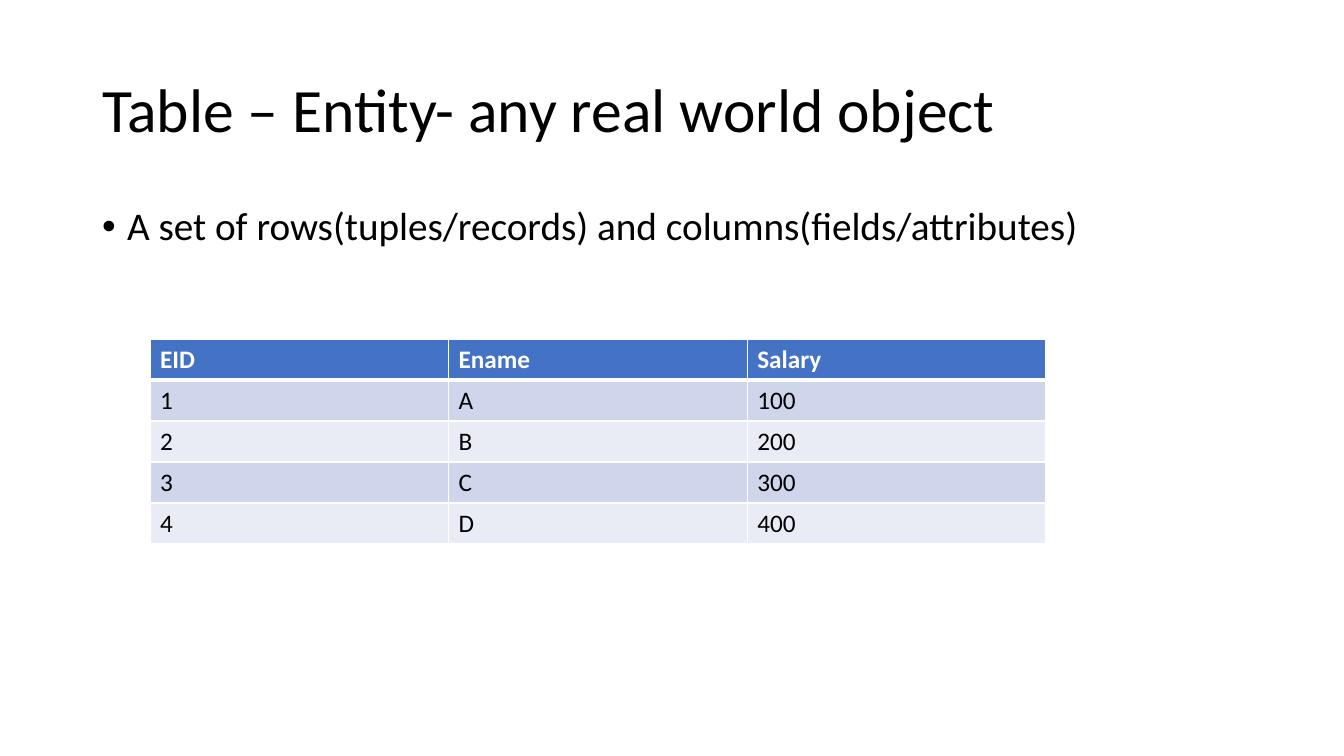
"""Build a slide that explains a database table as an entity."""
from dataclasses import dataclass

from lxml import etree
from pptx import Presentation
from pptx.dml.color import RGBColor
from pptx.enum.text import MSO_ANCHOR, MSO_AUTO_SIZE, PP_ALIGN
from pptx.oxml.ns import qn
from pptx.util import Pt

TITLE = "Table – Entity- any real world object"
BULLET = "A set of rows(tuples/records) and columns(fields/attributes)"
ROWS = [
    ("EID", "Ename", "Salary"),
    ("1", "A", "100"),
    ("2", "B", "200"),
    ("3", "C", "300"),
    ("4", "D", "400"),
]

PX = 914400 / 100.8
SLIDE = (1344, 756)
TITLE_BOX = (92, 40, 1159, 146)
BODY_BOX = (92, 202, 1159, 480)
TABLE_LEFT, TABLE_TOP, TABLE_WIDTH, ROW_HEIGHT = 150, 339, 896, 41
INDENT = 25

LEFT = PP_ALIGN.LEFT
TOP, MIDDLE = MSO_ANCHOR.TOP, MSO_ANCHOR.MIDDLE
NO_AUTOFIT = MSO_AUTO_SIZE.NONE


@dataclass(frozen=True)
class Theme:
    font: str = "Calibri"
    ink: str = "000000"
    white: str = "FFFFFF"
    header: str = "4472C4"
    bands: tuple = ("CFD5EA", "E9EBF5")
    title: int = 44
    body: int = 28
    cell: int = 18


T = Theme()


def px(n):
    return round(n * PX)


def write(tf, text, size, color=T.ink, bold=False, line=None, before=0):
    p = tf.paragraphs[0]
    p.alignment = LEFT
    p.space_before = Pt(before)
    if line:
        p.line_spacing = line
    r = p.add_run()
    r.text = text
    r.font.name, r.font.size, r.font.bold = T.font, Pt(size), bold
    r.font.color.rgb = RGBColor.from_string(color)
    return p


def place(sp, box, anchor):
    sp.left, sp.top, sp.width, sp.height = map(px, box)
    tf = sp.text_frame
    tf.word_wrap = True
    tf.auto_size = NO_AUTOFIT
    tf.vertical_anchor = anchor
    return tf


def add_bullet(p):
    pPr = p._p.get_or_add_pPr()
    pPr.set("marL", str(px(INDENT)))
    pPr.set("indent", str(-px(INDENT)))
    etree.SubElement(pPr, qn("a:buFont"), typeface="Arial")
    etree.SubElement(pPr, qn("a:buChar"), char="•")


def add_borders(cell, **widths):
    tcPr = cell._tc.get_or_add_tcPr()
    for side, width in widths.items():
        ln = etree.SubElement(tcPr, qn(f"a:ln{side}"), w=str(Pt(width)))
        fill = etree.SubElement(ln, qn("a:solidFill"))
        etree.SubElement(fill, qn("a:srgbClr"), val=T.white)


def add_entity_table(s):
    height = ROW_HEIGHT * len(ROWS)
    box = map(px, (TABLE_LEFT, TABLE_TOP, TABLE_WIDTH, height))
    table = s.shapes.add_table(len(ROWS), len(ROWS[0]), *box).table
    for col in table.columns:
        col.width = px(TABLE_WIDTH / len(ROWS[0]))
    for i, values in enumerate(ROWS):
        table.rows[i].height = px(ROW_HEIGHT)
        header = i == 0
        fill = T.header if header else T.bands[(i - 1) % 2]
        for j, value in enumerate(values):
            cell = table.cell(i, j)
            write(cell.text_frame, value, T.cell,
                  color=T.white if header else T.ink, bold=header)
            add_borders(cell, L=1, R=1, T=3 if i == 1 else 1,
                        B=3 if header else 1)
            cell.fill.solid()
            cell.fill.fore_color.rgb = RGBColor.from_string(fill)


def main():
    prs = Presentation()
    prs.slide_width, prs.slide_height = map(px, SLIDE)
    s = prs.slides.add_slide(prs.slide_layouts[1])
    title, body = s.placeholders
    write(place(title, TITLE_BOX, MIDDLE), TITLE, T.title, line=0.9)
    add_bullet(write(place(body, BODY_BOX, TOP), BULLET, T.body,
                     line=0.9, before=10))
    add_entity_table(s)
    prs.save("out.pptx")


if __name__ == "__main__":
    main()
